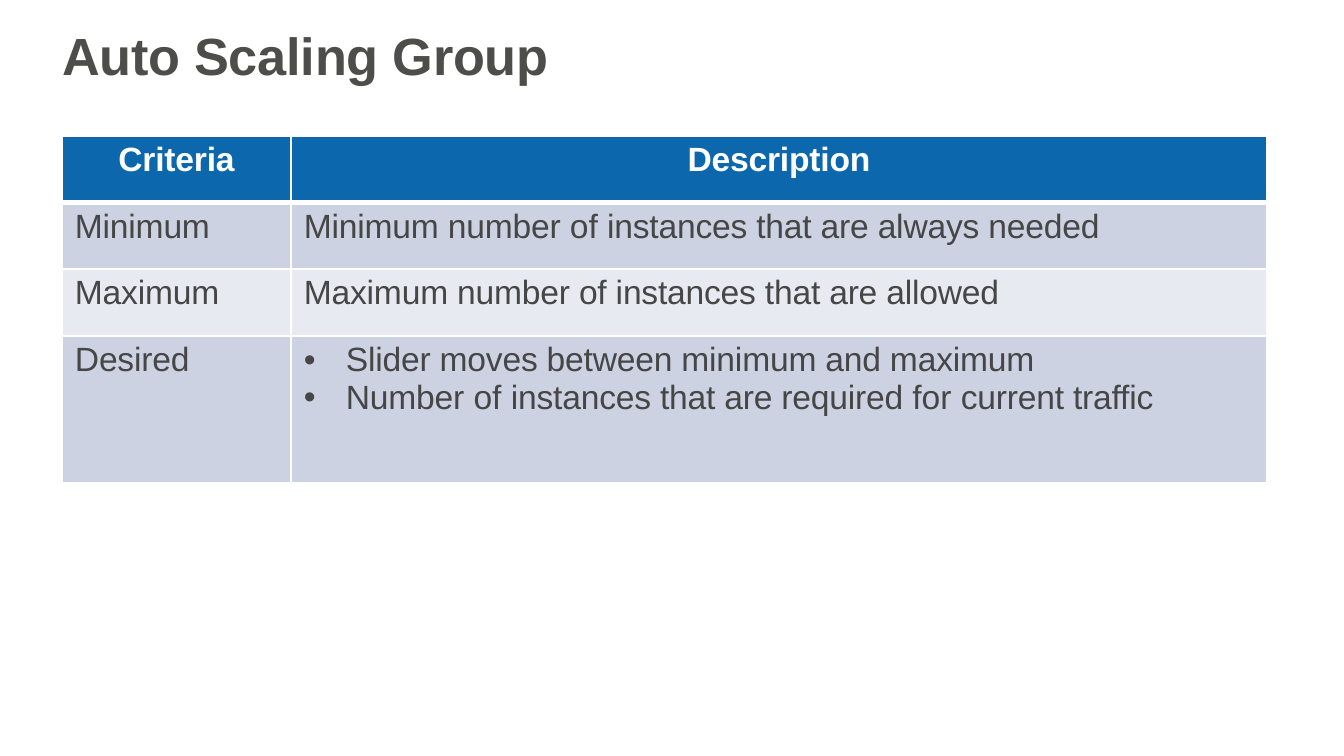
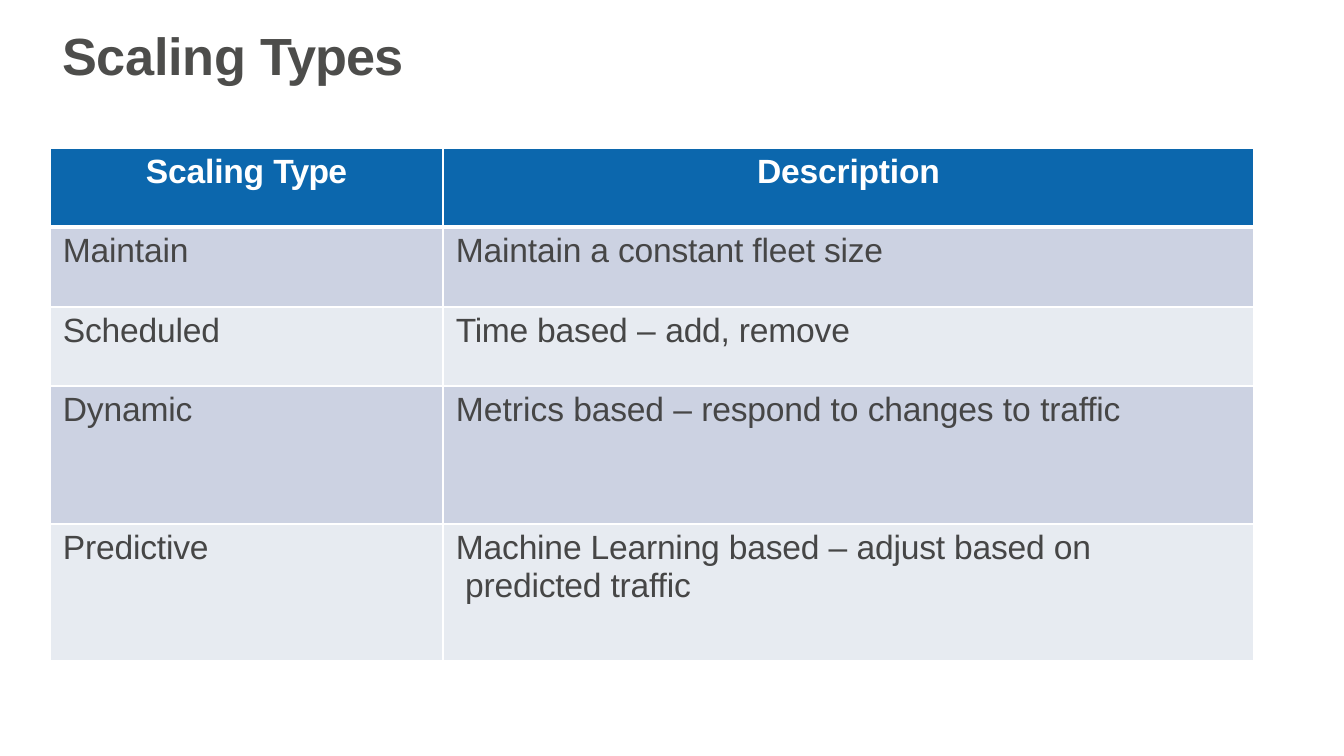
from dataclasses import dataclass

from lxml.etree import SubElement
from pptx import Presentation
from pptx.dml.color import RGBColor
from pptx.enum.text import MSO_ANCHOR, PP_ALIGN
from pptx.oxml.ns import qn
from pptx.util import Pt

EMU_PER_PX = 914400 / 134.4


@dataclass(frozen=True)
class Theme:
    font: str = "Arial"
    title_size: int = 28
    table_size: int = 18
    title_color: str = "4D4D4B"
    body_color: str = "464646"
    header_text: str = "FFFFFF"
    header_fill: str = "0C67AD"
    band_fills: tuple = ("CCD2E2", "E7EBF1")
    border: str = "FFFFFF"
    thin_line: int = 1
    thick_line: int = 3
    tracking: float = -0.1


THEME = Theme()


def px(length):
    return round(length * EMU_PER_PX)


# Text: a run is a string, or a (string, letter spacing) pair; None breaks the line
def add_runs(paragraph, runs, size, color, bold=False):
    for item in runs:
        if item is None:
            paragraph.add_line_break()
            continue
        text, tracking = (item, THEME.tracking) if isinstance(item, str) else item
        run = paragraph.add_run()
        run.text = text
        run.font.name = THEME.font
        run.font.size = Pt(size)
        run.font.bold = bold
        run.font.color.rgb = RGBColor.from_string(color)
        run._r.get_or_add_rPr().set("spc", str(round(tracking * 100)))


def add_bullet(paragraph, indent):
    properties = paragraph._p.get_or_add_pPr()
    properties.set("marL", str(px(indent)))
    properties.set("indent", str(-px(indent)))
    SubElement(properties, qn("a:buFont"), typeface=THEME.font)
    SubElement(properties, qn("a:buChar"), char="•")


def add_title(slide, runs, box):
    frame = slide.shapes.add_textbox(*map(px, box)).text_frame
    frame.word_wrap = True
    frame.vertical_anchor = MSO_ANCHOR.BOTTOM
    frame.margin_left = frame.margin_top = px(1)
    frame.margin_right = frame.margin_bottom = 0
    add_runs(frame.paragraphs[0], runs, THEME.title_size, THEME.title_color, bold=True)


# Table cells
def set_borders(cell, row_index):
    top = THEME.thick_line if row_index == 1 else THEME.thin_line
    bottom = THEME.thick_line if row_index == 0 else THEME.thin_line
    widths = {"L": THEME.thin_line, "R": THEME.thin_line, "T": top, "B": bottom}
    properties = cell._tc.get_or_add_tcPr()
    for side, width in widths.items():
        line = SubElement(properties, qn(f"a:ln{side}"), w=str(Pt(width)))
        fill = SubElement(line, qn("a:solidFill"))
        SubElement(fill, qn("a:srgbClr"), val=THEME.border)


def fill_cell(cell, paragraphs, row_index):
    is_header = row_index == 0
    set_borders(cell, row_index)
    cell.fill.solid()
    fill = THEME.header_fill if is_header else THEME.band_fills[(row_index - 1) % 2]
    cell.fill.fore_color.rgb = RGBColor.from_string(fill)
    cell.margin_left = 0 if is_header else px(13)
    cell.margin_top = px(5)
    cell.margin_right = cell.margin_bottom = 0
    color = THEME.header_text if is_header else THEME.body_color

    frame = cell.text_frame
    for index, runs in enumerate(paragraphs):
        paragraph = frame.add_paragraph() if index else frame.paragraphs[0]
        if is_header:
            paragraph.alignment = PP_ALIGN.CENTER
        if len(paragraphs) > 1:
            add_bullet(paragraph, 42)
        add_runs(paragraph, runs, THEME.table_size, color, is_header)


def add_definition_table(slide, rows, origin, column_widths, row_heights):
    left, top = origin
    table = slide.shapes.add_table(
        len(rows), len(column_widths), px(left), px(top),
        px(sum(column_widths)), px(sum(row_heights)),
    ).table
    for column, width in zip(table.columns, column_widths):
        column.width = px(width)
    for row_index, (row, height) in enumerate(zip(rows, row_heights)):
        table.rows[row_index].height = px(height)
        for column_index, paragraphs in enumerate(row):
            fill_cell(table.cell(row_index, column_index), paragraphs, row_index)


# Slides: each cell is a list of paragraphs, each paragraph a list of runs
def add_scaling_group_slide(slide):
    add_title(slide, ["Auto Scaling Group"], (61, 20, 495, 66))
    rows = [
        ([["Criteria"]], [["Description"]]),
        ([["Minimum"]],
         [["Minimum number ", ("of ", 0), "instances that are always needed"]]),
        ([["Maximum"]], [["Maximum number of instances that are allowed"]]),
        ([["Desired"]],
         [["Slider moves between minimum and maximum"],
          ["Number ", ("of ", 0), "instances that are required ", ("for ", 0),
           "current traffic"]]),
    ]
    add_definition_table(slide, rows, (62, 136), (229, 976), (67, 66, 67, 147))


def add_scaling_types_slide(slide):
    add_title(slide, ["Scaling ", ("Types", -0.6)], (61, 20, 351, 66))
    rows = [
        ([["Scaling ", ("Type", -0.4)]], [["Description"]]),
        ([["Maintain"]], [["Maintain a constant fleet size"]]),
        ([["Scheduled"]],
         [[("Time ", -0.2), "based", (" – ", 0), "add, remove"]]),
        ([["Dynamic"]],
         [[("Metrics", 0), " based", (" – ", 0), "respond ", ("to", 0),
           " changes", (" to ", 0), "traffic"]]),
        ([["Predictive"]],
         [["Machine Learning based ", ("– ", 0), "adjust based on", None,
           " predicted traffic"]]),
    ]
    add_definition_table(slide, rows, (50, 148), (393, 811), (79, 80, 79, 138, 137))


def main():
    presentation = Presentation()
    presentation.slide_width = px(1344)
    presentation.slide_height = px(756)
    blank_layout = presentation.slide_layouts[6]
    for build in (add_scaling_group_slide, add_scaling_types_slide):
        build(presentation.slides.add_slide(blank_layout))
    presentation.save("out.pptx")


if __name__ == "__main__":
    main()
